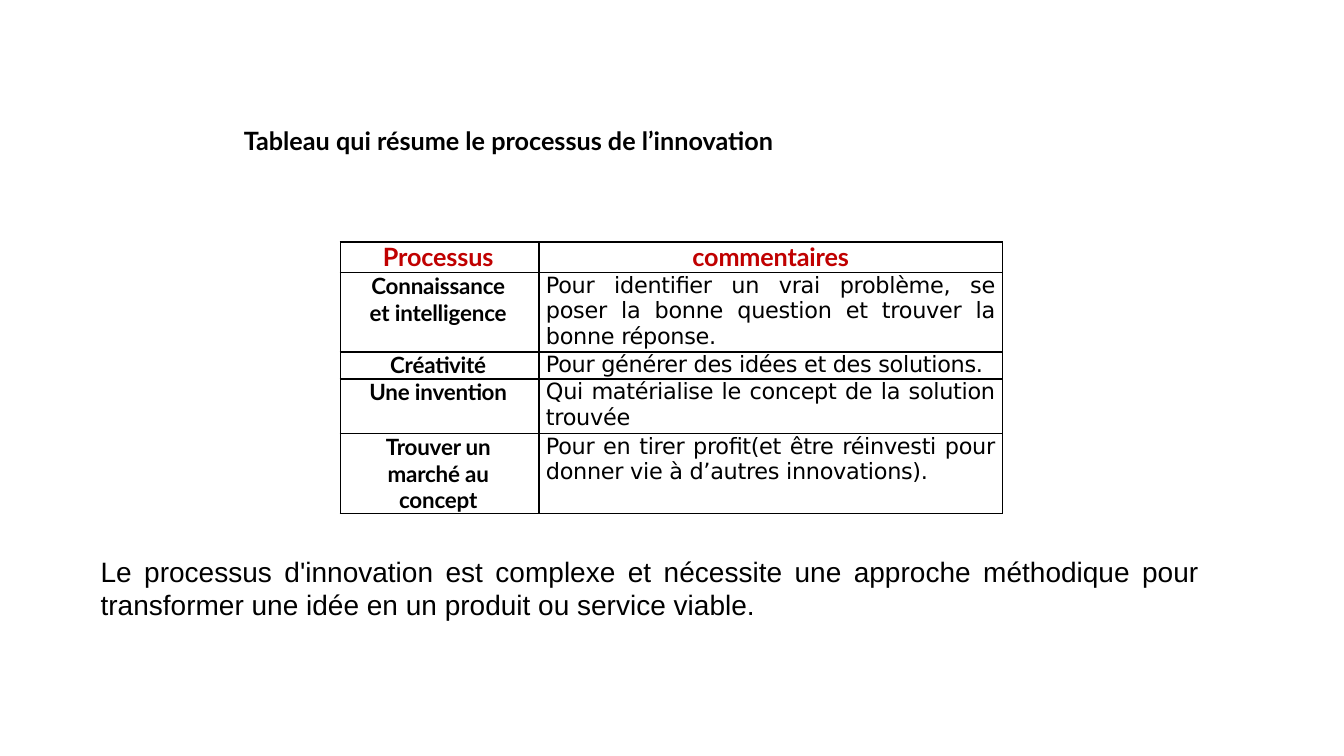
"""Build the slide that sums up the innovation process in a table."""
from lxml import etree
from pptx import Presentation
from pptx import util as u
from pptx.dml.color import RGBColor
from pptx.enum import text
from pptx.oxml import ns

BLACK = RGBColor(0x00, 0x00, 0x00)
RED = RGBColor(0xC0, 0x00, 0x00)
LEFT, CENTER, JUSTIFY = (text.PP_ALIGN.LEFT, text.PP_ALIGN.CENTER,
                         text.PP_ALIGN.JUSTIFY)
HEADINGS = ("Processus", "commentaires")
STEPS = (
    ("Connaissance et intelligence",
     "Pour identifier un vrai problème, se poser la bonne question et trouver la bonne réponse."),
    ("Créativité", "Pour générer des idées et des solutions."),
    ("Une invention", "Qui matérialise le concept de la solution trouvée"),
    ("Trouver un marché au concept",
     "Pour en tirer profit(et être réinvesti pour donner vie à d’autres innovations)."),
)
COLUMN_WIDTHS = (142, 331)
ROW_HEIGHTS = (21.8, 56.8, 19.3, 38.9, 57.5)


def write(frame, words, size=16, font="Lato", color=BLACK, bold=False,
          align=LEFT, spacing=0):
    para = frame.paragraphs[0]
    para.alignment = align
    span = para.add_run()
    span.text = words
    span.font.size = u.Pt(size)
    span.font.name = font
    span.font.bold = bold
    span.font.color.rgb = color
    if spacing:
        span._r.get_or_add_rPr().set("spc", str(round(spacing * 100)))


class InnovationSlide:
    heading_style = dict(size=18, color=RED, bold=True, align=CENTER, spacing=-0.1)
    step_style = dict(bold=True, align=CENTER, spacing=-0.1)
    comment_style = dict(font="DejaVu Sans", align=JUSTIFY, spacing=-0.2)

    def __init__(self, page):
        self.page = page

    def title(self, words, left, top, width, height):
        box = self.page.shapes.title
        box.left, box.top, box.width, box.height = map(u.Pt, (left, top, width, height))
        box.text_frame.word_wrap = True
        box.text_frame.auto_size = text.MSO_AUTO_SIZE.NONE
        box.text_frame.vertical_anchor = text.MSO_ANCHOR.MIDDLE
        write(box.text_frame, words, size=18, bold=True)

    def paragraph(self, words, left, top, width, height):
        box = self.page.shapes.add_textbox(*map(u.Pt, (left, top, width, height)))
        box.text_frame.word_wrap = True
        write(box.text_frame, words, size=20, font="Arial", align=JUSTIFY)

    def borders(self, cell):
        properties = cell._tc.get_or_add_tcPr()
        for side in ("lnL", "lnR", "lnT", "lnB"):
            line = etree.SubElement(properties, ns.qn(f"a:{side}"), w=str(u.Pt(1)))
            fill = etree.SubElement(line, ns.qn("a:solidFill"))
            etree.SubElement(fill, ns.qn("a:srgbClr"), val=str(BLACK))

    def cell(self, cell, words, side_margins, style):
        cell.margin_left, cell.margin_right = map(u.Pt, side_margins)
        cell.margin_top = cell.margin_bottom = 0
        self.borders(cell)
        cell.fill.background()
        write(cell.text_frame, words, **style)

    def table(self, left, top):
        size = sum(COLUMN_WIDTHS), sum(ROW_HEIGHTS)
        table = self.page.shapes.add_table(
            len(ROW_HEIGHTS), len(COLUMN_WIDTHS), *map(u.Pt, (left, top, *size))).table
        table.first_row = table.horz_banding = False
        for column, width in zip(table.columns, COLUMN_WIDTHS):
            column.width = u.Pt(width)
        for row, height in zip(table.rows, ROW_HEIGHTS):
            row.height = u.Pt(height)
        for index, row in enumerate((HEADINGS, *STEPS)):
            styles = (self.step_style, self.comment_style) if index else (self.heading_style,) * 2
            for column, words in enumerate(row):
                margins = (5, 5) if column else (18, 20)
                self.cell(table.cell(index, column), words, margins, styles[column])


def main():
    deck = Presentation()
    deck.slide_width, deck.slide_height = u.Pt(960), u.Pt(540)
    slide = InnovationSlide(deck.slides.add_slide(deck.slide_layouts[5]))
    slide.table(243, 172.8)
    slide.title("Tableau qui résume le processus de l’innovation", 167, 85, 546.5, 30)
    slide.paragraph("Le processus d'innovation est complexe et nécessite une approche "
                    "méthodique pour transformer une idée en un produit ou service viable.",
                    64.8, 392.4, 799.2, 55.5)
    deck.save("out.pptx")


if __name__ == "__main__":
    main()
